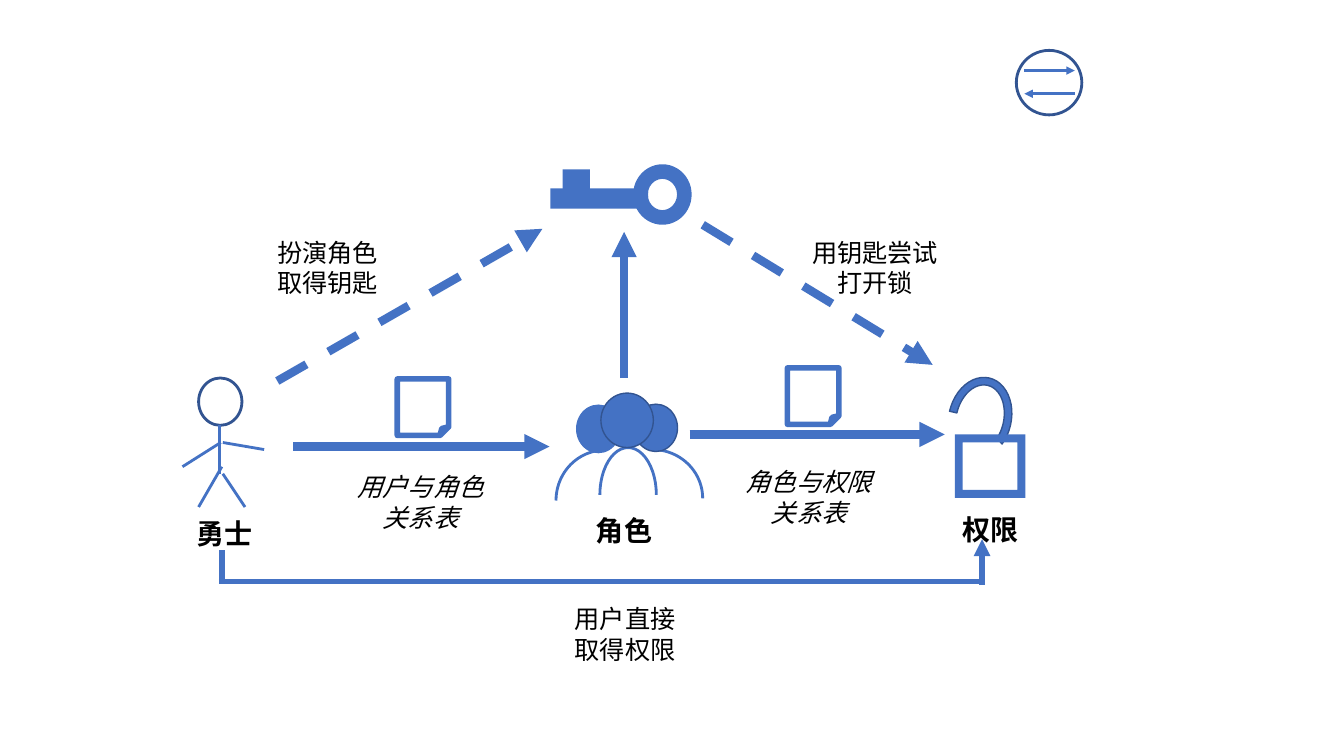
from dataclasses import dataclass

from pptx import Presentation, util as u
from pptx.dml.color import RGBColor
from pptx.enum import dml, shapes, text
from pptx.oxml.ns import qn
from lxml import etree

PX = 9144  # one px is a hundredth of an inch
FONT = "Noto Sans CJK SC"
COLOURS = {"blue": "4472C4", "edge": "325491", "ink": "000000"}
Kind = shapes.MSO_SHAPE


@dataclass
class Figure:
    kind: Kind
    left: int
    top: int
    width: int
    height: int
    fill: str = ""
    line: str = ""
    weight: int = 1
    rotation: float = 0
    adjust: tuple[float, ...] = ()


@dataclass
class Link:
    start: tuple[int, int]
    end: tuple[int, int]
    weight: int = 2
    arrow: bool = False
    dashed: bool = False


@dataclass
class Label:
    left: int
    top: int
    lines: tuple[str, ...]
    size: int = 18
    bold: bool = False
    italic: bool = False


def colour(name: str) -> RGBColor:
    return RGBColor.from_string(COLOURS[name])


def draw_figure(page, figure: Figure) -> None:
    shape = page.shapes.add_shape(
        figure.kind, figure.left * PX, figure.top * PX,
        figure.width * PX, figure.height * PX)
    shape.shadow.inherit = False
    shape.rotation = figure.rotation
    for index, value in enumerate(figure.adjust):
        shape.adjustments[index] = value
    if figure.fill:
        shape.fill.solid()
        shape.fill.fore_color.rgb = colour(figure.fill)
    else:
        shape.fill.background()
    if figure.line:
        shape.line.color.rgb = colour(figure.line)
        shape.line.width = u.Pt(figure.weight)
    else:
        shape.line.fill.background()


def draw_link(page, link: Link) -> None:
    (x1, y1), (x2, y2) = link.start, link.end
    connector = page.shapes.add_connector(
        shapes.MSO_CONNECTOR.STRAIGHT, x1 * PX, y1 * PX, x2 * PX, y2 * PX)
    connector.line.color.rgb = colour("blue")
    connector.line.width = u.Pt(link.weight)
    if link.dashed:
        connector.line.dash_style = dml.MSO_LINE.DASH
    properties = connector._element.spPr
    if link.arrow:
        outline = properties.find(qn("a:ln"))
        etree.SubElement(outline, qn("a:tailEnd"), type="triangle")
    etree.SubElement(properties, qn("a:effectLst"))


def draw_label(page, label: Label) -> None:
    height = 71 if len(label.lines) == 2 else 44
    box = page.shapes.add_textbox(
        label.left * PX, label.top * PX, 186 * PX, height * PX)
    frame = box.text_frame
    frame.word_wrap = True
    frame.auto_size = text.MSO_AUTO_SIZE.SHAPE_TO_FIT_TEXT
    for index, line in enumerate(label.lines):
        para = frame.add_paragraph() if index else frame.paragraphs[0]
        para.alignment = text.PP_ALIGN.CENTER
        para.line_spacing = u.Pt(label.size * 1.2)
        span = para.add_run()
        span.text = line
        font = span.font
        font.name = FONT
        font.size = u.Pt(label.size)
        font.bold = label.bold
        font.italic = label.italic
        font.color.rgb = colour("ink")
        etree.SubElement(span._r.get_or_add_rPr(), qn("a:ea"), typeface=FONT)


FIGURES = [
    # Open lock
    Figure(Kind.BLOCK_ARC, 941, 374, 62, 82, "blue", "edge",
           rotation=13.1, adjust=(108, 21.78, 0.12)),
    Figure(Kind.FRAME, 947, 431, 70, 63, "blue"),
    # Warrior's head and the exchange badge
    Figure(Kind.OVAL, 197, 375, 43, 47, line="edge", weight=2),
    Figure(Kind.OVAL, 1008, 50, 65, 64, line="edge", weight=2),
    # Role group
    Figure(Kind.OVAL, 572, 402, 43, 47, "blue", "blue"),
    Figure(Kind.ARC, 597, 446, 100, 97, line="blue", weight=2),
    Figure(Kind.ARC, 550, 448, 100, 97, line="blue", weight=2, rotation=270),
    Figure(Kind.ARC, 576, 463, 94, 56, line="blue", weight=2, rotation=270,
           adjust=(162, 54.04)),
    Figure(Kind.OVAL, 629, 401, 43, 47, "blue", "edge"),
    Figure(Kind.OVAL, 596, 390, 52, 54, "blue", "edge"),
    # Key
    Figure(Kind.RECTANGLE, 546, 187, 97, 20, "blue"),
    Figure(Kind.RECTANGLE, 558, 168, 27, 20, "blue"),
    Figure(Kind.DONUT, 628, 163, 58, 60, "blue"),
    # Relation tables
    *(Figure(Kind.FOLDED_CORNER, left, top, 51, 56, line="blue", weight=4)
      for left, top in ((394, 376), (781, 365))),
]

LINKS = [
    # Warrior's body, arms and legs
    Link((218, 422), (218, 470)),
    Link((219, 439), (181, 463)),
    Link((221, 439), (262, 446)),
    Link((220, 463), (197, 503)),
    Link((221, 470), (243, 503)),
    # Exchange badge
    Link((1016, 70), (1066, 70), arrow=True),
    Link((1066, 93), (1016, 93), arrow=True),
    # Warrior to role to permission
    Link((291, 443), (545, 443), 6, arrow=True),
    Link((684, 431), (937, 431), 6, arrow=True),
    # By way of the key
    Link((275, 378), (538, 227), 6, arrow=True, dashed=True),
    Link((619, 375), (619, 230), 6, arrow=True),
    Link((697, 223), (925, 362), 6, arrow=True, dashed=True),
    # Direct path
    Link((974, 580), (974, 535), 4, arrow=True),
    Link((217, 577), (974, 577), 4),
    Link((220, 546), (220, 575), 4),
]

LABELS = [
    Label(130, 507, ("勇士",), 20, bold=True),
    Label(526, 505, ("角色",), 20, bold=True),
    Label(889, 504, ("权限",), 20, bold=True),
    Label(324, 463, ("用户与角色", "关系表"), italic=True),
    Label(709, 458, ("角色与权限", "关系表"), italic=True),
    Label(232, 230, ("扮演角色", "取得钥匙")),
    Label(775, 230, ("用钥匙尝试", "打开锁")),
    Label(527, 594, ("用户直接", "取得权限")),
]


def main() -> None:
    deck = Presentation()
    deck.slide_width, deck.slide_height = 1333 * PX, 750 * PX
    page = deck.slides.add_slide(deck.slide_layouts.get_by_name("Blank"))
    for figure in FIGURES:
        draw_figure(page, figure)
    for link in LINKS:
        draw_link(page, link)
    for label in LABELS:
        draw_label(page, label)
    deck.save("out.pptx")


if __name__ == "__main__":
    main()
